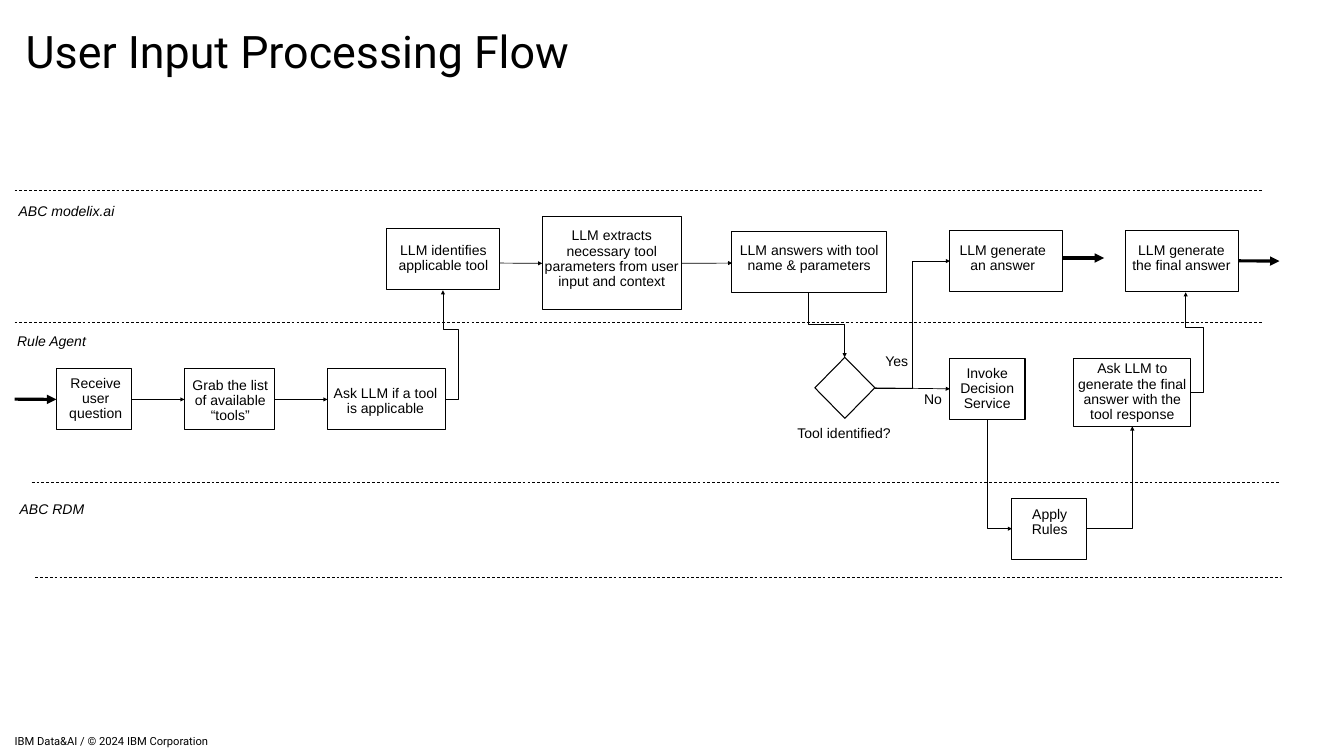
from dataclasses import dataclass

from lxml import etree
from pptx import Presentation
from pptx import util as u
from pptx.dml.color import RGBColor
from pptx.enum import dml, shapes, text
from pptx.oxml import ns

COLORS = {"ink": "000000", "paper": "FFFFFF"}
BODY_FORMAT = {"size": u.Pt(20), "name": "Arial"}
LANE_FORMAT = BODY_FORMAT | {"italic": True}
FOOTER_FORMAT = {"size": u.Pt(16), "name": "Roboto"}
TITLE_FORMAT = {"size": u.Pt(64), "name": "Roboto"}
RIGHT_SITE, LEFT_SITE = 3, 1
LANE_LENGTH = 24.77
THIN, OUTLINE, THICK = 1, 1.5, 4.5

Box = tuple[float, float, float, float]
Point = tuple[float, float]


@dataclass
class Step:
    """A process box with its label area."""
    key: str
    box: Box
    wording: str
    label: Box
    kind: shapes.MSO_SHAPE = shapes.MSO_SHAPE.RECTANGLE


@dataclass
class Arrow:
    """A straight arrow, joined to the named steps at its ends."""
    start: Point
    end: Point
    width: float = THIN
    source: str = ""
    target: str = ""


@dataclass
class Elbow:
    """A bent arrow whose bend is where its inner legs lie."""
    start: Point
    end: Point
    bend: tuple[float, ...] = ()
    vertical_first: bool = False


@dataclass
class Lane:
    """A swimlane title."""
    wording: str
    left: float
    top: float


STEPS = [
    Step("receive", (1.12, 7.32, 1.49, 1.21), "Receive user question", (1.1, 7.46, 1.6, 1.21)),
    Step("grab", (3.66, 7.32, 1.79, 1.21), "Grab the list of available “tools”",
         (3.73, 7.5, 1.68, 1.21)),
    Step("ask", (6.5, 7.32, 2.34, 1.21), "Ask LLM if a tool is applicable",
         (6.53, 7.66, 2.24, 1.21)),
    Step("identify", (7.67, 4.54, 2.24, 1.21), "LLM identifies applicable tool",
         (7.68, 4.82, 2.24, 0.8)),
    Step("extract", (10.76, 4.3, 2.77, 1.85),
         "LLM extracts necessary tool parameters from user input and context",
         (10.78, 4.54, 2.72, 0.85)),
    Step("name tool", (14.51, 4.59, 3.08, 1.21), "LLM answers with tool name & parameters",
         (14.53, 4.82, 3.06, 0.8)),
    Step("decide", (16.17, 7.09, 1.19, 1.21), "Tool identified?", (15.63, 8.46, 2.24, 0.75),
         shapes.MSO_SHAPE.DIAMOND),
    Step("answer", (18.85, 4.57, 2.24, 1.21), "LLM generate an answer",
         (18.98, 4.82, 1.84, 0.8)),
    Step("invoke", (18.85, 7.11, 1.49, 1.21), "Invoke Decision Service",
         (18.67, 7.27, 1.84, 1.21)),
    Step("apply", (20.08, 9.89, 1.49, 1.21), "Apply Rules", (20.24, 10.06, 1.18, 0.78)),
    Step("ask final", (21.31, 7.11, 2.32, 1.35),
         "Ask LLM to generate the final answer with the tool response",
         (21.31, 7.18, 2.32, 1.21)),
    Step("final", (22.33, 4.57, 2.24, 1.21), "LLM generate the final answer",
         (22.41, 4.82, 2.07, 0.8)),
]
ARROWS = [
    Arrow((0.29, 7.92), (1.12, 7.92), THICK, target="receive"),
    Arrow((2.61, 7.92), (3.66, 7.92), source="receive", target="grab"),
    Arrow((5.45, 7.92), (6.5, 7.92), source="grab", target="ask"),
    Arrow((9.92, 5.22), (10.76, 5.22), target="extract"),
    Arrow((13.53, 5.22), (14.53, 5.22), source="extract"),
    Arrow((17.36, 7.7), (18.85, 7.71), source="decide", target="invoke"),
    Arrow((24.57, 5.18), (25.39, 5.18), THICK, source="final"),
    Arrow((21.08, 5.12), (21.91, 5.12), THICK),
]
ELBOWS = [
    Elbow((8.84, 7.92), (8.79, 5.76), (9.09, 6.53)),
    Elbow((17.36, 7.7), (18.85, 5.18), (18.1,)),
    Elbow((16.05, 5.8), (16.76, 7.09), (6.44,), True),
    Elbow((19.59, 8.32), (20.08, 10.49), vertical_first=True),
    Elbow((21.57, 10.49), (22.47, 8.46)),
    Elbow((23.63, 7.79), (23.53, 5.8), (23.88, 6.49)),
]
LANES = [
    Lane("ABC modelix.ai", 0.37, 4.05),
    Lane("Rule Agent", 0.34, 6.63),
    Lane("ABC RDM", 0.39, 9.96),
]
DIVIDERS = [(0.29, 3.78), (0.29, 6.4), (0.63, 9.58), (0.7, 11.45)]
BRANCHES = {"Yes": (17.29, 7.03, 1.01, 0.39), "No": (18.01, 7.79, 1.01, 0.39)}


def ink() -> RGBColor:
    """Return the colour of text and lines."""
    return RGBColor.from_string(COLORS["ink"])


def add_label(slide, wording: str, box: Box, font_format: dict = BODY_FORMAT,
              align=text.PP_ALIGN.CENTER, anchor=text.MSO_ANCHOR.TOP,
              spacing: float = 0.9, after: float = 0) -> None:
    """Add a wrapped text box without margins."""
    frame = slide.shapes.add_textbox(*map(u.Inches, box)).text_frame
    frame_format = {"word_wrap": True, "vertical_anchor": anchor, "margin_left": 0,
                    "margin_right": 0, "margin_top": 0, "margin_bottom": 0}
    for name, value in frame_format.items():
        setattr(frame, name, value)
    paragraph = frame.paragraphs[0]
    paragraph_format = {"text": wording, "alignment": align, "line_spacing": spacing,
                        "space_after": u.Pt(after)}
    for name, value in paragraph_format.items():
        setattr(paragraph, name, value)
    font = paragraph.runs[0].font
    for name, value in font_format.items():
        setattr(font, name, value)
    font.color.rgb = ink()


def add_step(slide, step: Step):
    """Add a step's outline and label and return the outline."""
    outline = slide.shapes.add_shape(step.kind, *map(u.Inches, step.box))
    outline.shadow.inherit = False
    outline.fill.background()
    outline.line.color.rgb = ink()
    outline.line.width = u.Pt(OUTLINE)
    add_label(slide, step.wording, step.label)
    return outline


def add_line(slide, start: Point, end: Point, width: float = THIN, arrow: bool = True,
             kind=shapes.MSO_CONNECTOR.STRAIGHT):
    """Add a connector, dashed unless it is an arrow."""
    line = slide.shapes.add_connector(kind, *map(u.Inches, (*start, *end)))
    line.line.color.rgb = ink()
    line.line.width = u.Pt(width)
    if arrow:
        etree.SubElement(line.line._get_or_add_ln(), ns.qn("a:tailEnd"), type="triangle")
    else:
        line.line.dash_style = dml.MSO_LINE.DASH
    etree.SubElement(line._element.spPr, ns.qn("a:effectLst"))
    return line


def add_arrow(slide, arrow: Arrow, outlines: dict) -> None:
    """Add a straight arrow and join its ends."""
    line = add_line(slide, arrow.start, arrow.end, arrow.width)
    if arrow.source:
        line.begin_connect(outlines[arrow.source], RIGHT_SITE)
    if arrow.target:
        line.end_connect(outlines[arrow.target], LEFT_SITE)


def add_elbow(slide, elbow: Elbow) -> None:
    """Add a bent arrow, turned when its first leg is vertical."""
    (x0, y0), (x1, y1) = elbow.start, elbow.end
    start, end = elbow.start, elbow.end
    if elbow.vertical_first:
        width, height = y1 - y0, x1 - x0
        left, top = (x0 + x1 - width) / 2, (y0 + y1 - height) / 2
        start, end = (left + width, top), (left, top + height)
    line = add_line(slide, start, end, kind=shapes.MSO_CONNECTOR.ELBOW)
    properties = line._element.spPr
    if elbow.vertical_first:
        properties.find(ns.qn("a:xfrm")).set("rot", str(270 * 60000))
    geometry = properties.find(ns.qn("a:prstGeom"))
    geometry.set("prst", f"bentConnector{len(elbow.bend) + 2}")
    guides = geometry.find(ns.qn("a:avLst"))
    spans = [(x0, x1), (y0, y1)]
    if elbow.vertical_first:
        spans.reverse()
    for number, (bend, (first, last)) in enumerate(zip(elbow.bend, spans), 1):
        share = round((bend - first) / (last - first) * 100000)
        etree.SubElement(guides, ns.qn("a:gd"), name=f"adj{number}", fmla=f"val {share}")


def main() -> None:
    """Build the input processing flow slide."""
    deck = Presentation()
    deck.slide_width, deck.slide_height = u.Inches(26.67), u.Inches(15)
    slide = deck.slides.add_slide(deck.slide_layouts[6])
    slide.background.fill.solid()
    slide.background.fill.fore_color.rgb = RGBColor.from_string(COLORS["paper"])
    left_align = text.PP_ALIGN.LEFT
    add_label(slide, "User Input Processing Flow", (0.51, 0.37, 23.26, 0.95), TITLE_FORMAT,
              left_align, spacing=1.1)
    add_label(slide, "IBM Data&AI / © 2024 IBM Corporation", (0.29, 14.42, 5.42, 0.42),
              FOOTER_FORMAT, left_align, text.MSO_ANCHOR.BOTTOM, 1.0, 6)
    for left, top in DIVIDERS:
        add_line(slide, (left, top), (left + LANE_LENGTH, top), arrow=False)
    for lane in LANES:
        add_label(slide, lane.wording, (lane.left, lane.top, 2.24, 0.75), LANE_FORMAT, left_align)
    outlines = {step.key: add_step(slide, step) for step in STEPS}
    for arrow in ARROWS:
        add_arrow(slide, arrow, outlines)
    for elbow in ELBOWS:
        add_elbow(slide, elbow)
    for wording, box in BRANCHES.items():
        add_label(slide, wording, box)
    deck.save("out.pptx")


if __name__ == "__main__":
    main()
